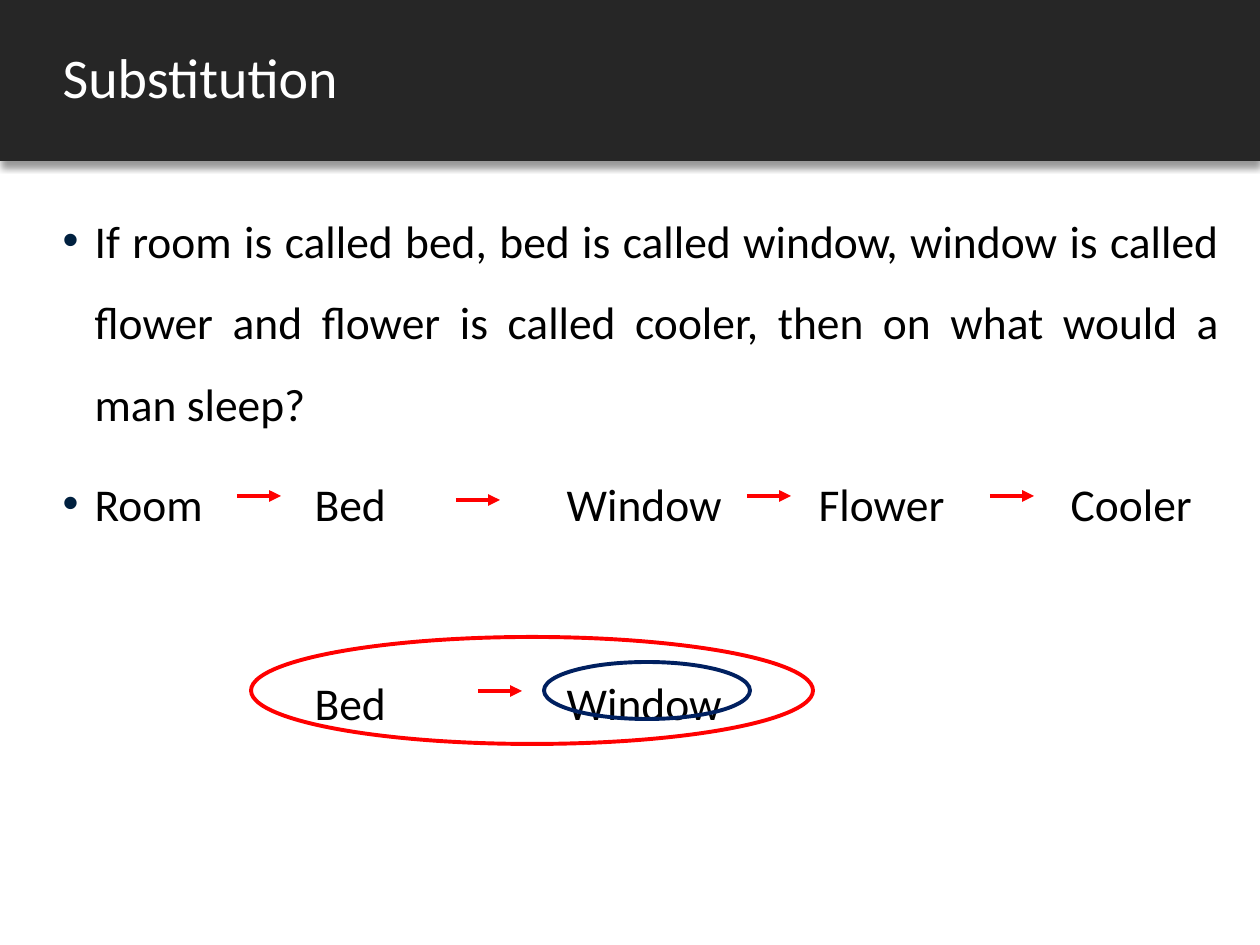
from lxml import etree
from pptx import Presentation
from pptx.dml.color import RGBColor
from pptx.enum.shapes import MSO_CONNECTOR, MSO_SHAPE
from pptx.enum.text import MSO_ANCHOR, MSO_AUTO_SIZE, PP_ALIGN
from pptx.oxml.ns import qn
from pptx.util import Emu, Pt

STRAIGHT = MSO_CONNECTOR.STRAIGHT
RECT, OVAL = MSO_SHAPE.RECTANGLE, MSO_SHAPE.OVAL
TOP, MIDDLE = MSO_ANCHOR.TOP, MSO_ANCHOR.MIDDLE
LEFT, JUSTIFY = PP_ALIGN.LEFT, PP_ALIGN.JUSTIFY
NO_FIT = MSO_AUTO_SIZE.NONE
SCALE = 914400 / 126
COLORS = {"band": "262626", "white": "FFFFFF", "text": "000000",
          "bullet": "00203F", "red": "FF0000", "navy": "002060"}


def px(n):
    return Emu(round(n * SCALE))


def rgb(name):
    return RGBColor.from_string(COLORS[name])


def add(parent, tag, **attrs):
    el = etree.SubElement(parent, qn(tag))
    for key, value in attrs.items():
        el.set(key, str(value))
    return el


class SlideBuilder:
    font = "Calibri"
    line_width = Pt(2.25)
    indent = 32
    tab_step = 252

    def __init__(self, prs):
        self.slide = prs.slides.add_slide(prs.slide_layouts[1])
        self.shapes = self.slide.shapes

    def band(self, x, y, w, h):
        sp = self.shapes.add_shape(RECT, px(x), px(y), px(w), px(h))
        sp.fill.solid()
        sp.fill.fore_color.rgb = rgb("band")
        sp.line.fill.background()
        effects = add(sp._element.spPr, "a:effectLst")
        shadow = add(effects, "a:outerShdw", blurRad=Pt(4), dist=Pt(3),
                     dir=5400000, algn="t", rotWithShape=0)
        color = add(shadow, "a:srgbClr", val=COLORS["text"])
        add(color, "a:alpha", val=40000)
        self.shapes._spTree.insert(2, sp._element)

    def place(self, sp, box, anchor):
        sp.left, sp.top, sp.width, sp.height = map(px, box)
        tf = sp.text_frame
        tf.word_wrap = True
        tf.auto_size = NO_FIT
        tf.vertical_anchor = anchor
        return tf

    def style(self, p, size, color, align, spacing, before):
        p.alignment = align
        p.line_spacing = spacing
        p.space_before = Pt(before)
        p.font.name = self.font
        p.font.size = Pt(size)
        p.font.color.rgb = rgb(color)

    def title(self, text, *box):
        p = self.place(self.shapes.title, box, MIDDLE).paragraphs[0]
        p.text = text
        self.style(p, 32, "white", LEFT, 0.9, 0)

    def body(self, items, *box):
        tf = self.place(self.slide.placeholders[1], box, TOP)
        for i, (text, align, bullet, before) in enumerate(items):
            p = tf.paragraphs[0] if i == 0 else tf.add_paragraph()
            p.text = text
            pPr = p._p.get_or_add_pPr()
            if bullet:
                pPr.set("marL", str(px(self.indent)))
                pPr.set("indent", str(-px(self.indent)))
                add(add(pPr, "a:buClr"), "a:srgbClr", val=COLORS["bullet"])
                add(pPr, "a:buFont", typeface="Arial")
                add(pPr, "a:buChar", char="•")
                tabs = add(pPr, "a:tabLst")
                for n in range(1, 5):
                    add(tabs, "a:tab", pos=px(n * self.tab_step), algn="l")
            else:
                pPr.set("marL", str(px(self.tab_step)))
                pPr.set("indent", "0")
                add(pPr, "a:buNone")
            self.style(p, 26, "text", align, 1.5, before)

    def arrow(self, x, y, length=44):
        c = self.shapes.add_connector(STRAIGHT, px(x), px(y), px(x + length), px(y))
        c.line.color.rgb = rgb("red")
        c.line.width = self.line_width
        add(c.line._get_or_add_ln(), "a:tailEnd", type="triangle")
        add(c._element.spPr, "a:effectLst")

    def ring(self, color, x, y, w, h):
        sp = self.shapes.add_shape(OVAL, px(x), px(y), px(w), px(h))
        sp.shadow.inherit = False
        sp.fill.background()
        sp.line.color.rgb = rgb(color)
        sp.line.width = self.line_width


def main():
    prs = Presentation()
    prs.slide_width, prs.slide_height = px(1260), px(945)
    s = SlideBuilder(prs)
    s.band(0, 0, 1260, 161)
    s.title("Substitution", 50, 0, 1210, 161)
    s.body([
        ("If room is called bed, bed is called window, window is called flower "
         "and flower is called cooler, then on what would a man sleep?",
         JUSTIFY, True, 0),
        ("Room\tBed\tWindow\tFlower\tCooler", LEFT, True, 10),
        ("Bed\t\t\tWindow", LEFT, False, 67),
    ], 50, 179, 1183, 745)
    for x, y in [(237, 496), (456, 500), (747, 496), (990, 496), (478, 691)]:
        s.arrow(x, y)
    s.ring("red", 251, 637, 562, 107)
    s.ring("navy", 544, 662, 206, 57)
    prs.save("out.pptx")


if __name__ == "__main__":
    main()
